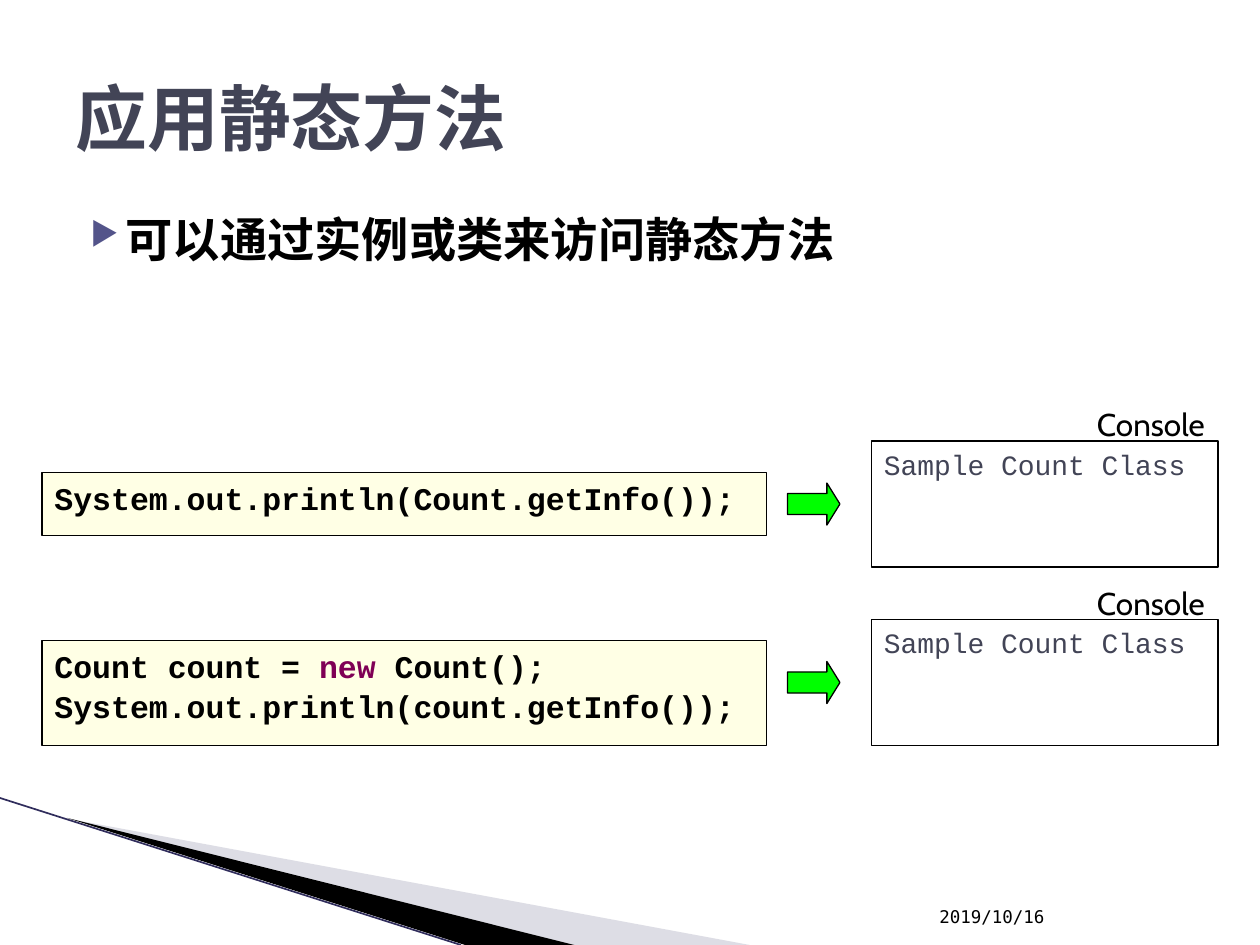
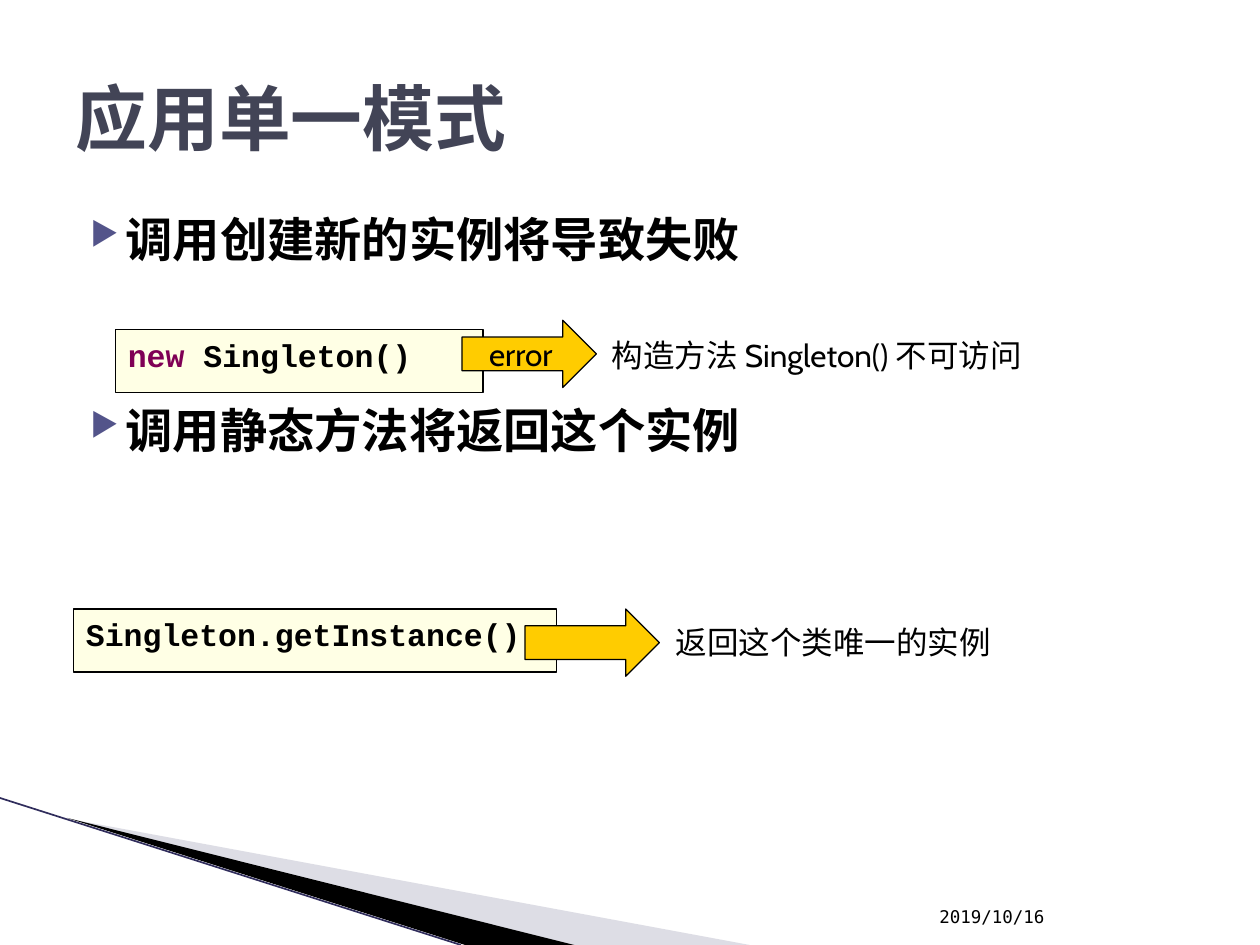
"""Build two slides on static methods and the singleton pattern."""
from dataclasses import dataclass
from typing import NamedTuple

import lxml.etree
import pptx
import pptx.dml.color
import pptx.enum.shapes
import pptx.enum.text
import pptx.oxml
import pptx.oxml.ns
import pptx.util

SHAPE = pptx.enum.shapes.MSO_SHAPE
ANCHOR = pptx.enum.text.MSO_ANCHOR
ALIGN = pptx.enum.text.PP_ALIGN
COLUMNS, ROWS = 120, 90
SLIDE_WIDTH, SLIDE_HEIGHT = pptx.util.Inches(10), pptx.util.Inches(7.5)


class Style(NamedTuple):
    """Font, size, colour and weight of a span of text."""
    font: str
    size: float
    color: str
    bold: bool = False


@dataclass(frozen=True)
class Theme:
    """Colours and type styles shared by the slides."""
    ink: str = "000000"
    code_fill: str = "FFFFCC"
    pale_band: str = "AAAABF"
    band_edge: str = "302D5C"
    bullet: str = "53548A"
    run_arrow: str = "00FF00"
    result_arrow: str = "FFCC00"
    line_width: float = 0.75
    title: Style = Style("DejaVu Sans Mono", 41, "424456", True)
    body: Style = Style("DejaVu Sans Mono", 27, "000000", True)
    date: Style = Style("DejaVu Sans Mono", 10, "000000")
    code: Style = Style("Courier New", 18, "000000", True)
    keyword: Style = Style("Courier New", 18, "7F0055", True)
    output: Style = Style("Courier New", 16, "424456")
    label: Style = Style("Cabin", 18, "000000")


THEME = Theme()


class Area(NamedTuple):
    """A rectangle in grid columns and rows."""
    left: float
    top: float
    width: float
    height: float

    def lengths(self) -> tuple:
        """Return the rectangle in slide lengths."""
        return (across(self.left), down(self.top), across(self.width), down(self.height))


class Bullet(NamedTuple):
    """A bulleted statement and the row it starts on."""
    text: str
    row: float


class CodeBox(NamedTuple):
    """A box of code lines."""
    area: Area
    lines: tuple


class Arrow(NamedTuple):
    """A block arrow with an optional caption."""
    area: Area
    color: str
    head: float
    caption: str = ""


class Label(NamedTuple):
    """A plain line of text."""
    area: Area
    text: str


class Console(NamedTuple):
    """An output box with its heading, placed by its top row."""
    row: float
    output: str


def across(columns: float) -> int:
    """Convert grid columns to a length."""
    return int(SLIDE_WIDTH * columns / COLUMNS)


def down(rows: float) -> int:
    """Convert grid rows to a length."""
    return int(SLIDE_HEIGHT * rows / ROWS)


def rgb(color: str) -> pptx.dml.color.RGBColor:
    """Return a colour object."""
    return pptx.dml.color.RGBColor.from_string(color)


def format_span(span, style: Style) -> None:
    """Apply a style to a run, for Latin and East Asian text alike."""
    span.font.size = pptx.util.Pt(style.size)
    span.font.bold = style.bold
    span.font.color.rgb = rgb(style.color)
    span.font.name = style.font
    east_asian = lxml.etree.SubElement(span.font._element, pptx.oxml.ns.qn("a:ea"))
    east_asian.set("typeface", style.font)


def write(para, text: str, style: Style) -> None:
    """Set the text of a paragraph in one style."""
    para.text = text
    for span in para.runs:
        format_span(span, style)


def indent(para, left: float, first: float) -> None:
    """Set a hanging indent in inches."""
    properties = para._p.get_or_add_pPr()
    properties.set("marL", str(pptx.util.Inches(left)))
    properties.set("indent", str(pptx.util.Inches(first)))


def fill(shape, color: str, opacity: int = 100) -> None:
    """Fill a shape, with opacity in percent."""
    shape.fill.solid()
    shape.fill.fore_color.rgb = rgb(color)
    if opacity < 100:
        tint = shape.fill._xPr.find(".//" + pptx.oxml.ns.qn("a:srgbClr"))
        lxml.etree.SubElement(tint, pptx.oxml.ns.qn("a:alpha")).set("val", str(opacity * 1000))


def add_outlined(slide, kind, area: Area):
    """Add a preset shape with a thin dark outline."""
    shape = slide.shapes.add_shape(kind, *area.lengths())
    shape.shadow.inherit = False
    shape.line.color.rgb = rgb(THEME.ink)
    shape.line.width = pptx.util.Pt(THEME.line_width)
    return shape


def add_text(slide, area: Area, text: str, style: Style, wrap: bool = True):
    """Add a text box with one paragraph."""
    box = slide.shapes.add_textbox(*area.lengths())
    box.text_frame.word_wrap = wrap
    write(box.text_frame.paragraphs[0], text, style)
    return box


def add_bullet(slide, bullet: Bullet) -> None:
    """Draw a statement with a triangular bullet."""
    box = add_text(slide, Area(6, bullet.row, 108, 8), bullet.text, THEME.body)
    para = box.text_frame.paragraphs[0]
    indent(para, 0.4, -0.28)
    namespace = pptx.oxml.ns.nsdecls("a")
    for element in (
        f'<a:buClr {namespace}><a:srgbClr val="{THEME.bullet}"/></a:buClr>',
        f'<a:buSzPct {namespace} val="68000"/>',
        f'<a:buChar {namespace} char="▶"/>',
    ):
        para._p.get_or_add_pPr().append(pptx.oxml.parse_xml(element))


def add_code(slide, code: CodeBox) -> None:
    """Draw a code box and pick out its keywords."""
    box = add_outlined(slide, SHAPE.RECTANGLE, code.area)
    fill(box, THEME.code_fill, 50)
    frame = box.text_frame
    frame.word_wrap = True
    frame.vertical_anchor = ANCHOR.TOP
    for number, line in enumerate(code.lines):
        para = frame.add_paragraph() if number else frame.paragraphs[0]
        para.alignment = ALIGN.LEFT
        para.space_before = pptx.util.Pt(1.5 if number else 0)
        indent(para, 0.38, -0.38)
        before, keyword, after = line.partition("new")
        for text, style in ((before, THEME.code), (keyword, THEME.keyword), (after, THEME.code)):
            if text:
                span = para.add_run()
                span.text = text
                format_span(span, style)


def add_arrow(slide, arrow: Arrow) -> None:
    """Draw a block arrow and its caption."""
    shape = add_outlined(slide, SHAPE.RIGHT_ARROW, arrow.area)
    shape.adjustments[1] = arrow.head
    fill(shape, arrow.color)
    if arrow.caption:
        shape.text_frame.word_wrap = False
        shape.text_frame.vertical_anchor = ANCHOR.MIDDLE
        para = shape.text_frame.paragraphs[0]
        para.alignment = ALIGN.CENTER
        write(para, arrow.caption, THEME.label)


def add_label(slide, label: Label) -> None:
    """Draw a plain line of text."""
    box = add_text(slide, label.area, label.text, THEME.label, wrap=False)
    box.text_frame.auto_size = pptx.enum.text.MSO_AUTO_SIZE.SHAPE_TO_FIT_TEXT


def add_console(slide, console: Console) -> None:
    """Draw an output box below its heading."""
    box = add_outlined(slide, SHAPE.RECTANGLE, Area(83, console.row, 33, 12))
    box.fill.background()
    box.text_frame.word_wrap = True
    box.text_frame.vertical_anchor = ANCHOR.TOP
    para = box.text_frame.paragraphs[0]
    para.alignment = ALIGN.LEFT
    indent(para, 0.38, -0.38)
    write(para, console.output, THEME.output)
    add_label(slide, Label(Area(103.3, console.row - 4, 12.7, 4.8), "Console"))


def add_wedge(slide, points: tuple, color: str, opacity: int = 100) -> None:
    """Draw a filled wedge through grid points."""
    corners = [(across(column), down(row)) for column, row in points]
    builder = slide.shapes.build_freeform(*corners[0], scale=1.0)
    builder.add_line_segments(corners[1:], close=True)
    wedge = builder.convert_to_shape()
    wedge.shadow.inherit = False
    wedge.line.fill.background()
    fill(wedge, color, opacity)


def add_frame(slide, title: str) -> None:
    """Draw the title, corner bands and date of a slide."""
    add_wedge(slide, ((6.6, 78), (71.4, ROWS), (54.7, ROWS)), THEME.pale_band, 40)
    add_wedge(slide, ((6.4, 77.9), (54.7, ROWS), (44.3, ROWS)), THEME.ink)
    edge = slide.shapes.add_connector(
        pptx.enum.shapes.MSO_CONNECTOR.STRAIGHT, 0, down(76), across(43.9), down(ROWS))
    edge.line.color.rgb = rgb(THEME.band_edge)
    edge.line.width = pptx.util.Pt(0.95)
    lxml.etree.SubElement(edge._element.spPr, pptx.oxml.ns.qn("a:effectLst"))
    date = add_text(slide, Area(88.3, 84.1, 25.2, 4.8), "2019/10/16", THEME.date)
    date.text_frame.vertical_anchor = ANCHOR.BOTTOM
    heading = slide.shapes.title
    heading.left, heading.top, heading.width, heading.height = Area(6, 3.6, 108, 15).lengths()
    heading.text_frame.vertical_anchor = ANCHOR.MIDDLE
    para = heading.text_frame.paragraphs[0]
    write(para, title, THEME.title)
    para.alignment = ALIGN.LEFT


DRAW = {Bullet: add_bullet, CodeBox: add_code, Arrow: add_arrow, Label: add_label,
        Console: add_console}

PAGES = {
    "应用静态方法": (
        Bullet("可以通过实例或类来访问静态方法", 19.4),
        CodeBox(Area(4, 61, 69, 10), ("Count count = new Count();",
                                      "System.out.println(count.getInfo());")),
        Arrow(Area(75, 63, 5, 4), THEME.run_arrow, 0.31),
        Console(59, "Sample Count Class"),
        CodeBox(Area(4, 45, 69, 6), ("System.out.println(Count.getInfo());",)),
        Arrow(Area(75, 46, 5, 4), THEME.run_arrow, 0.31),
        Console(42, "Sample Count Class"),
    ),
    "应用单一模式": (
        Bullet("调用创建新的实例将导致失败", 19.4),
        Bullet("调用静态方法将返回这个实例", 37.6),
        CodeBox(Area(11, 31.4, 35, 6), ("new Singleton()",)),
        Label(Area(57.1, 31.4, 47.3, 5.2), "构造方法 Singleton() 不可访问"),
        Arrow(Area(44, 30.5, 12.8, 6.4), THEME.result_arrow, 0.5, "error"),
        CodeBox(Area(7, 58, 46, 6), ("Singleton.getInstance()",)),
        Arrow(Area(50, 58, 12.8, 6.4), THEME.result_arrow, 0.5),
        Label(Area(63.2, 58.7, 35.8, 5.2), "返回这个类唯一的实例"),
    ),
}


def main() -> None:
    """Build and save the deck."""
    deck = pptx.Presentation()
    deck.slide_width, deck.slide_height = SLIDE_WIDTH, SLIDE_HEIGHT
    for title, items in PAGES.items():
        page = deck.slides.add_slide(deck.slide_layouts[5])
        add_frame(page, title)
        for item in items:
            DRAW[type(item)](page, item)
    deck.save("out.pptx")


if __name__ == "__main__":
    main()
